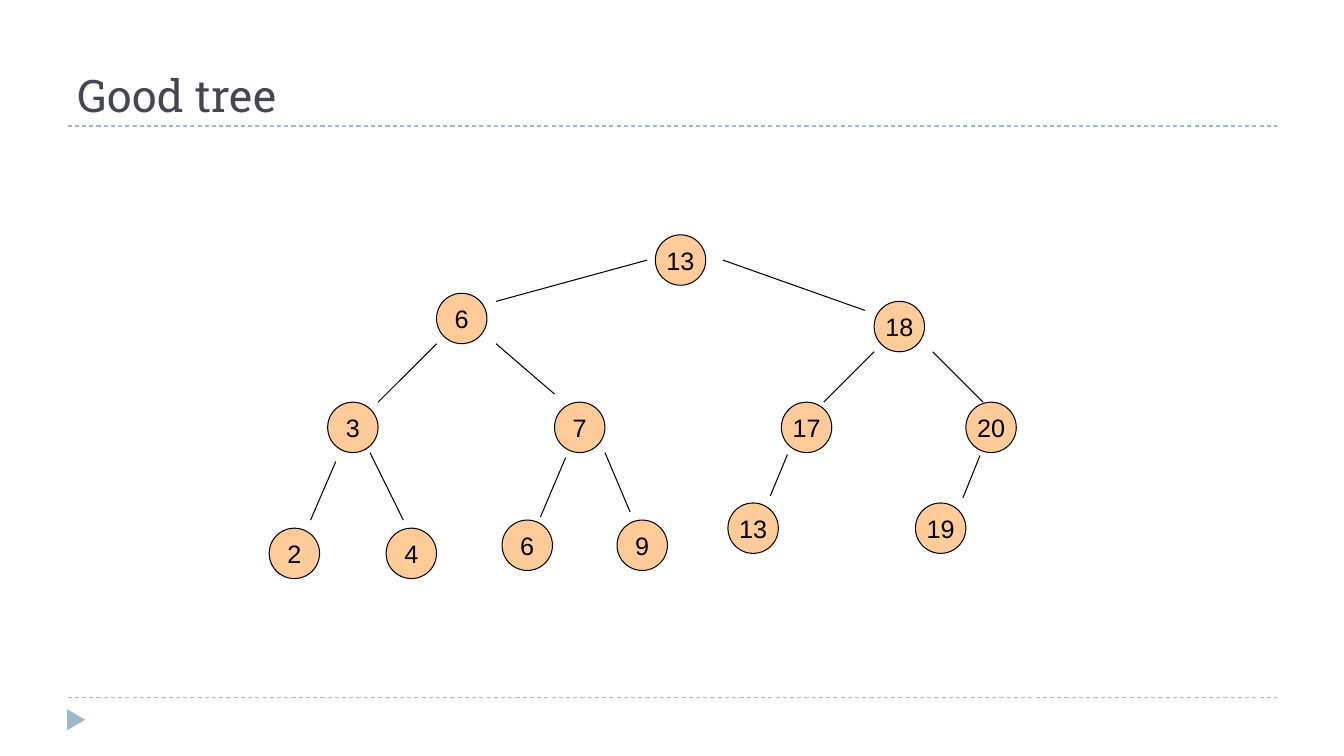
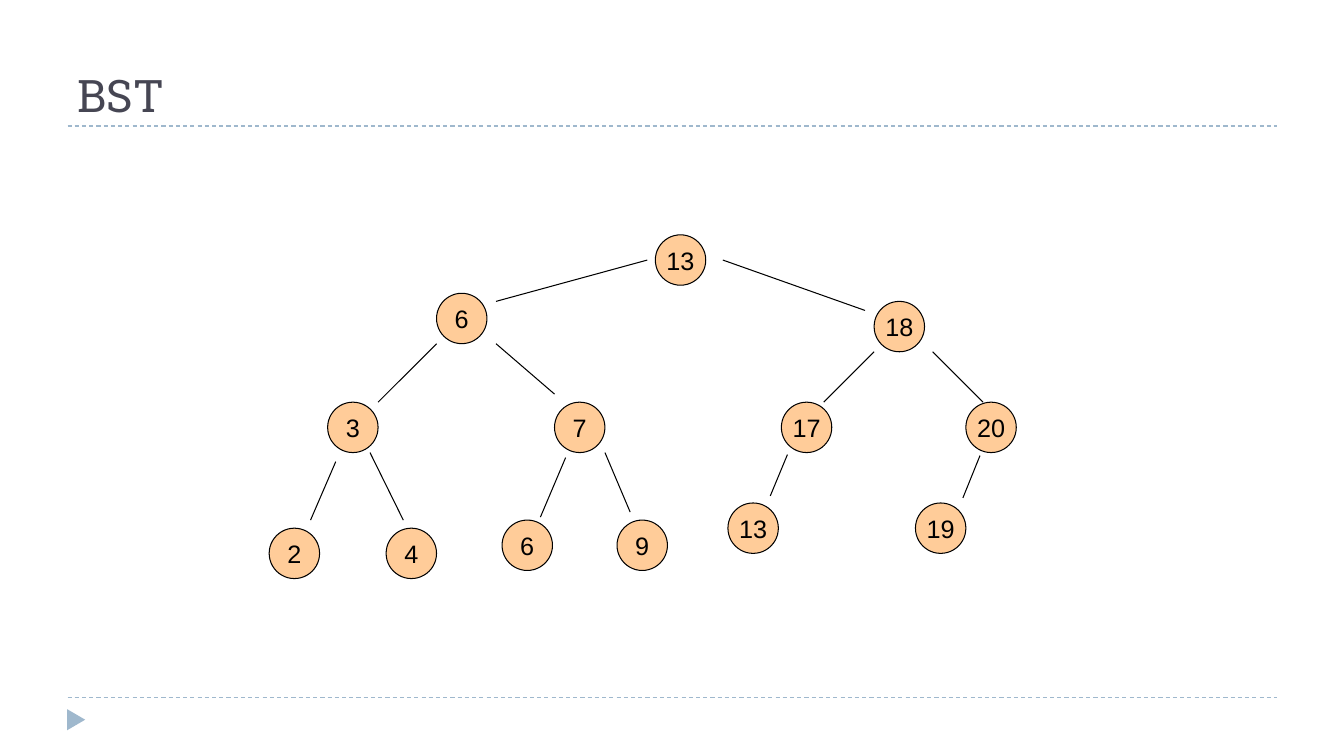
from dataclasses import dataclass

from lxml import etree
from pptx import Presentation
from pptx import util as u
from pptx.dml.color import RGBColor
from pptx.enum import dml, shapes, text
from pptx.oxml import ns

PX = 9144  # 100 px to the inch


@dataclass(frozen=True)
class Theme:
    accent: RGBColor = RGBColor(0x9F, 0xB8, 0xCD)
    title: RGBColor = RGBColor(0x46, 0x46, 0x53)
    node: RGBColor = RGBColor(0xFF, 0xCC, 0x99)
    ink: RGBColor = RGBColor(0x00, 0x00, 0x00)
    title_font: str = "Roboto Slab"
    node_font: str = "Arial"
    title_size: u.Pt = u.Pt(32)
    node_size: u.Pt = u.Pt(18)
    stroke: u.Pt = u.Pt(0.75)


theme = Theme()

TITLES = ["Good tree", "BST"]
NODE_SIZE = 50
# Label, left, top
NODES = [
    ("13", 650, 233),
    ("6", 433, 291), ("18", 867, 299),
    ("3", 325, 399), ("7", 550, 399), ("17", 775, 399), ("20", 958, 399),
    ("2", 267, 524), ("4", 383, 524), ("6", 498, 516), ("9", 612, 516),
    ("13", 722, 499), ("19", 908, 499),
]
# Start x, start y, end x, end y
BRANCHES = [
    (642, 258, 492, 299), (717, 258, 858, 308),
    (433, 341, 375, 399), (492, 341, 550, 391),
    (867, 349, 817, 399), (925, 349, 975, 399),
    (333, 458, 308, 516), (367, 449, 400, 516),
    (561, 454, 536, 513), (600, 449, 625, 508),
    (781, 451, 764, 492), (972, 452, 955, 494),
]


def add_line(page, ends, color, dash=None):
    line = page.shapes.add_connector(
        shapes.MSO_CONNECTOR.STRAIGHT, *(value * PX for value in ends))
    line.line.color.rgb = color
    line.line.width = theme.stroke
    if dash:
        line.line.dash_style = dash
    etree.SubElement(line._element.spPr, ns.qn("a:effectLst"))


def style_text(frame, words, font_name, size, color):
    para = frame.paragraphs[0]
    para.text = words
    para.font.name = font_name
    para.font.size = size
    para.font.color.rgb = color
    return para


deck = Presentation()
deck.slide_width, deck.slide_height = 1333 * PX, 750 * PX

for title in TITLES:
    page = deck.slides.add_slide(deck.slide_layouts[6])

    # Dashed rules and corner marker
    for rule_y in (692, 125):
        add_line(page, (67, rule_y, 1267, rule_y), theme.accent, dml.MSO_LINE.DASH)
    marker = page.shapes.add_shape(
        shapes.MSO_SHAPE.ISOSCELES_TRIANGLE, 65 * PX, 705 * PX, 21 * PX, 18 * PX)
    marker.rotation = 90
    marker.shadow.inherit = False
    marker.fill.solid()
    marker.fill.fore_color.rgb = theme.accent
    marker.line.fill.background()

    # Title
    box = page.shapes.add_textbox(67 * PX, 17 * PX, 1200 * PX, 108 * PX)
    box.text_frame.word_wrap = True
    box.text_frame.vertical_anchor = text.MSO_ANCHOR.BOTTOM
    style_text(box.text_frame, title, theme.title_font, theme.title_size, theme.title)

    # Tree branches
    for ends in BRANCHES:
        add_line(page, ends, theme.ink)

    # Tree nodes
    for label, left, top in NODES:
        node = page.shapes.add_shape(
            shapes.MSO_SHAPE.OVAL, left * PX, top * PX, NODE_SIZE * PX, NODE_SIZE * PX)
        node.shadow.inherit = False
        node.fill.solid()
        node.fill.fore_color.rgb = theme.node
        node.line.color.rgb = theme.ink
        node.line.width = theme.stroke
        node.text_frame.word_wrap = False
        node.text_frame.vertical_anchor = text.MSO_ANCHOR.MIDDLE
        para = style_text(
            node.text_frame, label, theme.node_font, theme.node_size, theme.ink)
        para.alignment = text.PP_ALIGN.CENTER

deck.save("out.pptx")
